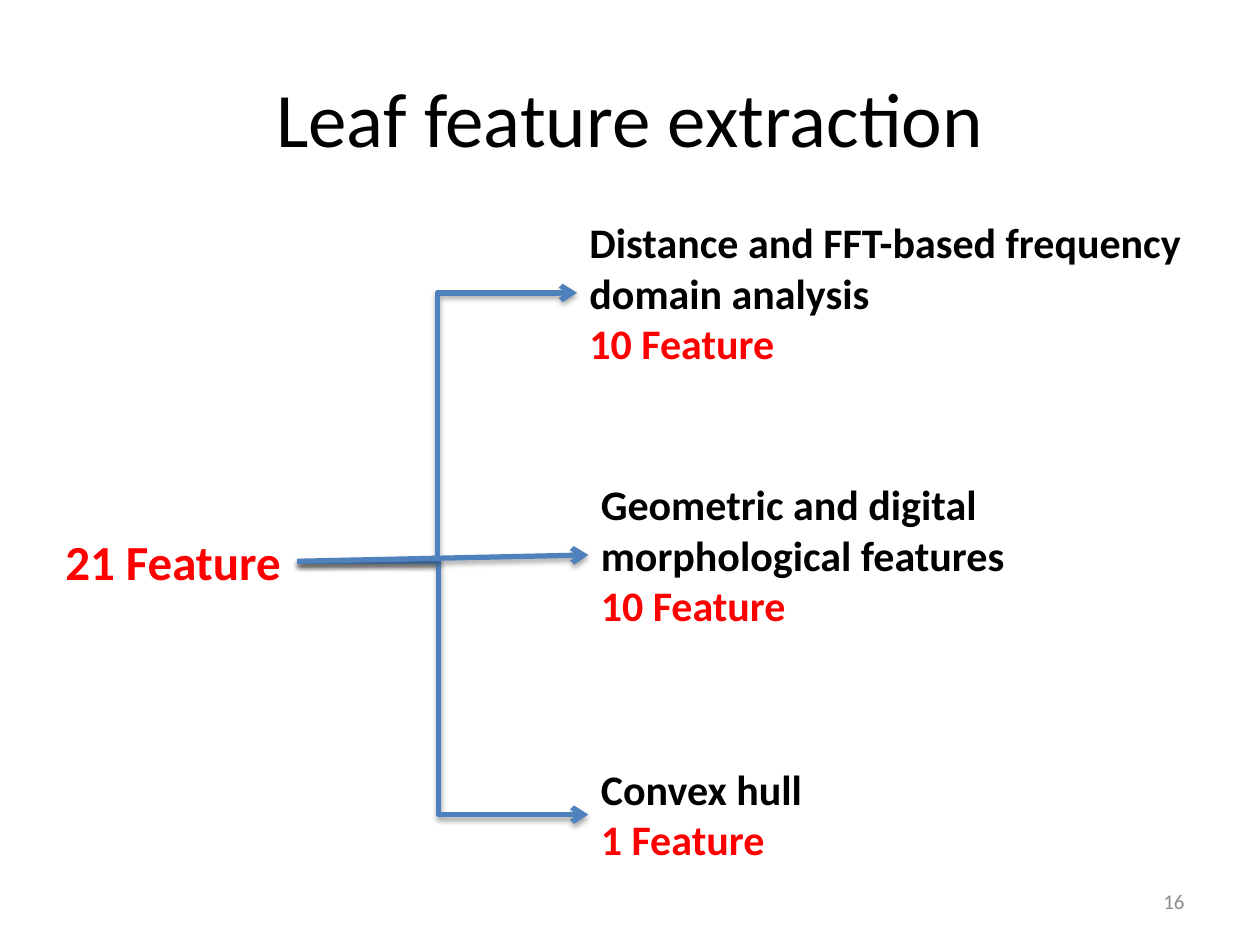
from lxml import etree
from pptx import Presentation
from pptx.dml.color import RGBColor
from pptx.enum import shapes, text
from pptx.oxml import parse_xml
from pptx.oxml.ns import qn
from pptx.util import Inches, Pt

# Content
TITLE = "Leaf feature extraction"
NUMBER = "16"
ROOT = "21 Feature"
# left, top, width, height, topic lines, count, bend of the arrow (None: straight)
GROUPS = [
    (4.58, 1.67, 4.97, 1.31,
     ["Distance and FFT-based frequency", "domain analysis"], "10 Feature", 50000),
    (4.67, 6.01, 1.81, 0.91, ["Convex hull"], "1 Feature", 48600),
    (4.67, 3.75, 3.44, 1.31,
     ["Geometric and digital", "morphological features"], "10 Feature", None),
]
COLORS = {"ink": "000000", "count": "FF0000", "line": "4F81BD", "page": "8C8C8C"}
SHADOW = """<a:effectLst xmlns:a="http://schemas.openxmlformats.org/drawingml/2006/main">
<a:outerShdw blurRad="39370" dist="22860" dir="5400000" rotWithShape="0">
<a:srgbClr val="000000"><a:alpha val="35000"/></a:srgbClr>
</a:outerShdw></a:effectLst>"""

deck = Presentation()
deck.slide_width, deck.slide_height = Inches(10), Inches(7.5)
slide = deck.slides.add_slide(deck.slide_layouts[6])


def color(name):
    return RGBColor.from_string(COLORS[name])


def write(place, lines, size, bold=False, align=text.PP_ALIGN.LEFT, wrap=False):
    """Add a text box; each line is a pair of wording and colour name."""
    box = slide.shapes.add_textbox(*map(Inches, place))
    frame = box.text_frame
    frame.word_wrap = wrap
    if wrap:
        frame.vertical_anchor = text.MSO_ANCHOR.MIDDLE
    else:
        frame.auto_size = text.MSO_AUTO_SIZE.SHAPE_TO_FIT_TEXT
    frame.text = "\n".join(line for line, _ in lines)
    for para, (_, tint) in zip(frame.paragraphs, lines):
        para.alignment = align
        font = para.font
        font.name, font.size, font.bold = "Calibri", Pt(size), bold
        font.color.rgb = color(tint)
    return box


def link(start, end, bend):
    """Draw an arrow from the right side of one box to the left side of another."""
    kind = shapes.MSO_CONNECTOR.ELBOW if bend else shapes.MSO_CONNECTOR.STRAIGHT
    arrow = slide.shapes.add_connector(kind, 0, 0, 0, 0)
    arrow.begin_connect(start, 3)
    arrow.end_connect(end, 1)
    arrow.line.color.rgb = color("line")
    arrow.line.width = Pt(3)
    props = arrow._element.spPr
    etree.SubElement(props.find(qn("a:ln")), qn("a:tailEnd"), type="arrow")
    props.append(parse_xml(SHADOW))
    if bend:
        guides = props.find(qn("a:prstGeom")).find(qn("a:avLst"))
        etree.SubElement(guides, qn("a:gd"), name="adj1", fmla=f"val {bend}")


# Title and page number
write((0.5, 0.3, 9, 1.25), [(TITLE, "ink")], 44, align=text.PP_ALIGN.CENTER, wrap=True)
write((7.17, 6.95, 2.33, 0.4), [(NUMBER, "page")], 12,
      align=text.PP_ALIGN.RIGHT, wrap=True)

# Feature tree
root = write((0.42, 4.17, 1.94, 0.57), [(ROOT, "count")], 28, bold=True)
for *place, topic, count, bend in GROUPS:
    lines = [(line, "ink") for line in topic] + [(count, "count")]
    link(root, write(place, lines, 24, bold=True), bend)

deck.save("out.pptx")
